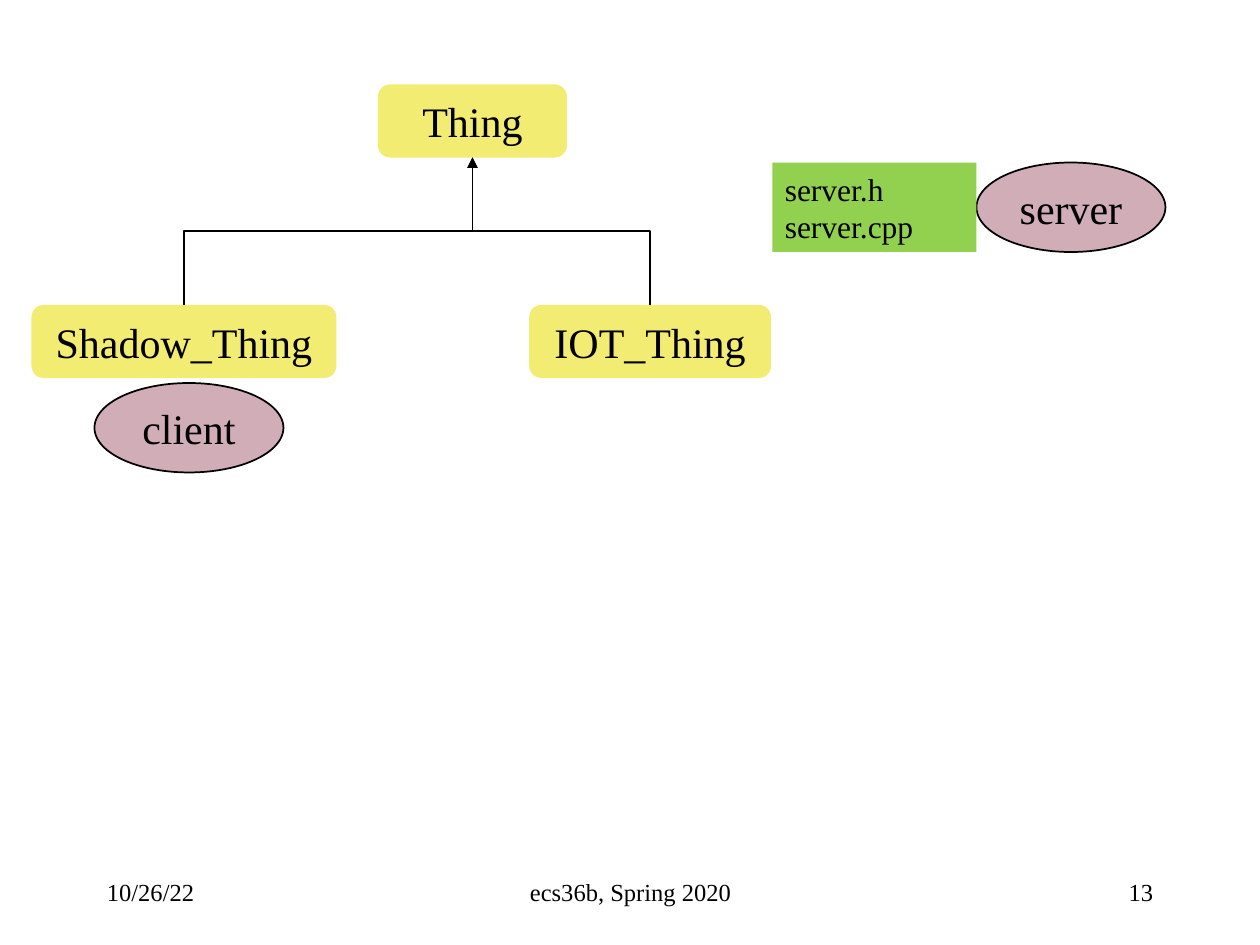
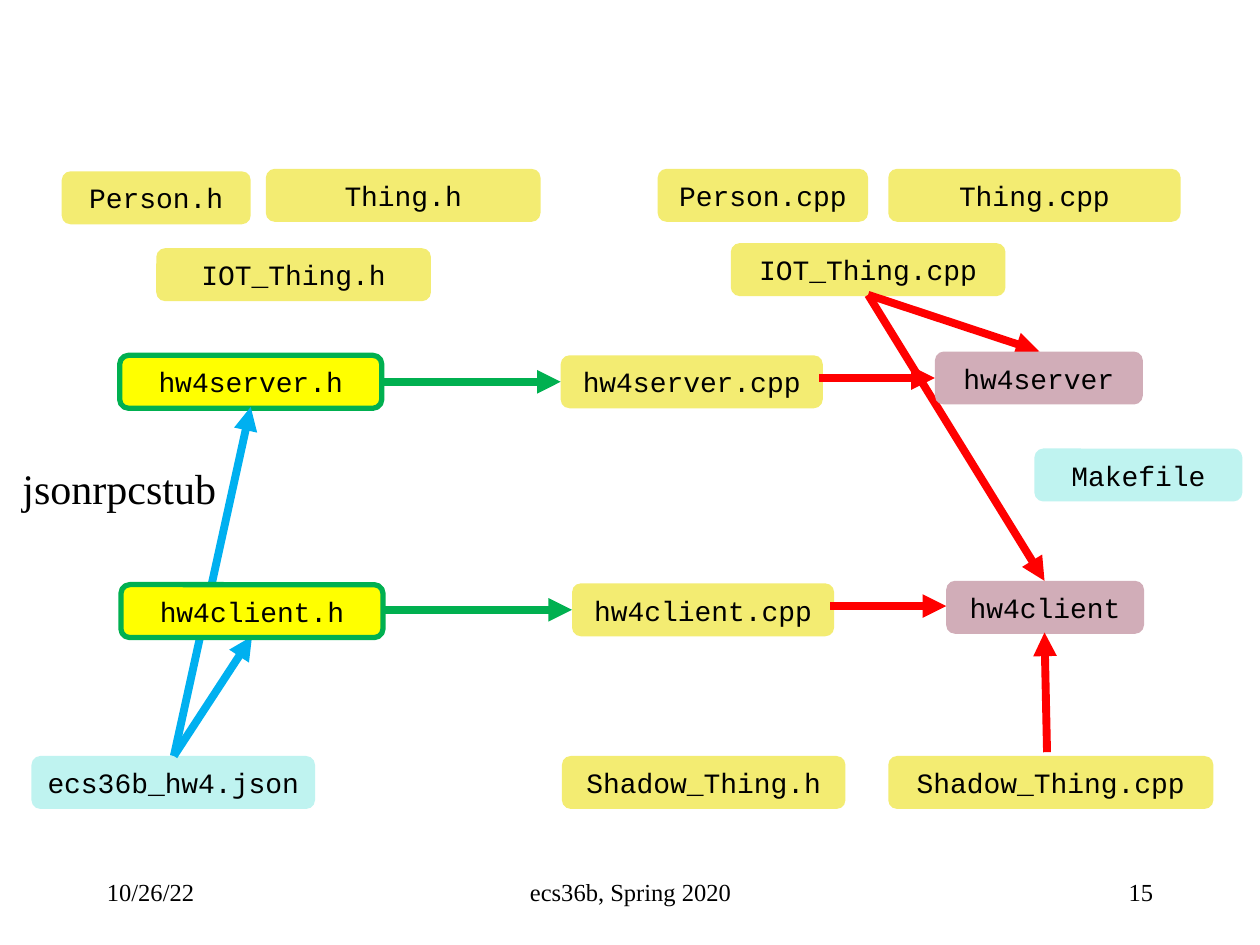
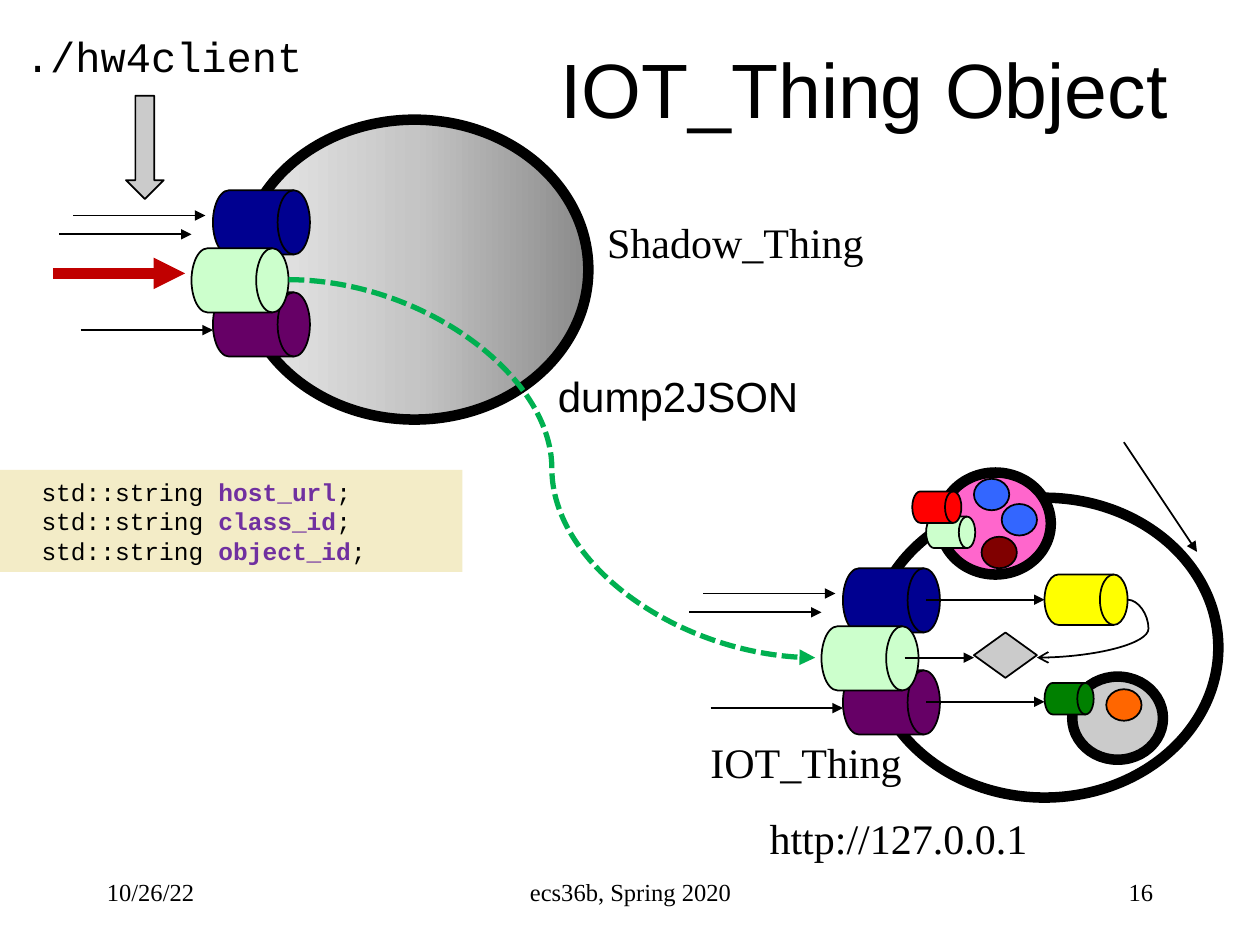
"""Build three class-hierarchy, build-flow and remote-object slides."""
import copy
from dataclasses import dataclass
from typing import Optional

import lxml.etree
import pptx
import pptx.dml.color
import pptx.enum.dml
import pptx.enum.shapes
import pptx.enum.text
import pptx.oxml.ns
import pptx.presentation
import pptx.shapes.autoshape
import pptx.shapes.connector
import pptx.slide
import pptx.util

Inches = pptx.util.Inches
Kind = pptx.enum.shapes.MSO_SHAPE
Route = pptx.enum.shapes.MSO_CONNECTOR
Align = pptx.enum.text.PP_ALIGN
Anchor = pptx.enum.text.MSO_ANCHOR
Dash = pptx.enum.dml.MSO_LINE
qn = pptx.oxml.ns.qn
Point = tuple[float, float]


@dataclass(frozen=True)
class Theme:
    """Colours, fonts and type sizes of the deck."""
    black: str = "000000"
    sand: str = "F3EC72"
    cream: str = "F3ECC7"
    aqua: str = "BFF3F0"
    rose: str = "D1ADB8"
    lime: str = "92D050"
    yellow: str = "FFFF00"
    green: str = "00B050"
    blue: str = "00B0F0"
    red: str = "FF0000"
    crimson: str = "C00000"
    purple: str = "7030A0"
    grey: str = "CBCBCB"
    navy: str = "000090"
    plum: str = "660066"
    mint: str = "CCFFCC"
    pink: str = "FF66CC"
    forest: str = "008000"
    orange: str = "FF6600"
    azure: str = "3366FF"
    maroon: str = "800000"
    shading: tuple[str, ...] = ("8B8B8B", "C5C5C5", "EAEAEA")
    serif: str = "Times New Roman"
    mono: str = "Courier New"
    sans: str = "Arial"
    title: float = 44
    label: float = 24
    note: float = 18
    file: float = 16
    small: float = 14
    thin: float = 1
    outline: float = 3
    arrow: float = 4.5
    heavy: float = 6


THEME = Theme()


@dataclass(frozen=True)
class Box:
    """A preset shape with optional fill, outline and label."""
    left: float
    top: float
    width: float
    height: float
    fill: Optional[str] = THEME.sand
    text: str = ""
    kind: Kind = Kind.ROUNDED_RECTANGLE
    line: Optional[str] = None
    line_width: float = THEME.thin
    size: float = THEME.label
    font: str = THEME.serif


@dataclass(frozen=True)
class Arrow:
    """A connector with an arrowhead at its end."""
    start: Point
    end: Point
    color: str = THEME.black
    width: float = THEME.thin
    route: Route = Route.STRAIGHT
    head: str = "triangle"
    bend: Optional[float] = None
    dash: Optional[Dash] = None


def rgb(color: str) -> pptx.dml.color.RGBColor:
    """Turn a hexadecimal string into a colour."""
    return pptx.dml.color.RGBColor.from_string(color)


def write_text(shape: pptx.shapes.autoshape.Shape, text: str, *, size: float = THEME.label,
               font: str = THEME.serif, align: Align = Align.LEFT, anchor: Anchor = Anchor.MIDDLE,
               wrap: bool = True, margin: float = 0.1) -> None:
    """Write lines into a shape; parts between bars are bold and purple."""
    frame = shape.text_frame
    frame.word_wrap = wrap
    frame.vertical_anchor = anchor
    frame.margin_left = Inches(margin)
    for index, line in enumerate(text.split("\n")):
        paragraph = frame.add_paragraph() if index else frame.paragraphs[0]
        paragraph.alignment = align
        for position, part in enumerate(line.split("|")):
            strong = position % 2 == 1
            run = paragraph.add_run()
            run.text = part
            run.font.size = pptx.util.Pt(size)
            run.font.name = font
            run.font.bold = strong
            run.font.color.rgb = rgb(THEME.purple if strong else THEME.black)


def add_label(slide: pptx.slide.Slide, text: str, left: float, top: float, width: float,
              height: float = 0.5, **text_format) -> None:
    """Add a text box."""
    box = slide.shapes.add_textbox(*map(Inches, (left, top, width, height)))
    write_text(box, text, **text_format)


def add_box(slide: pptx.slide.Slide, box: Box) -> pptx.shapes.autoshape.Shape:
    """Draw a box and its centred label."""
    shape = slide.shapes.add_shape(
        box.kind, *map(Inches, (box.left, box.top, box.width, box.height)))
    shape.shadow.inherit = False
    if box.fill:
        shape.fill.solid()
        shape.fill.fore_color.rgb = rgb(box.fill)
    else:
        shape.fill.background()
    if box.line:
        shape.line.color.rgb = rgb(box.line)
        shape.line.width = pptx.util.Pt(box.line_width)
    else:
        shape.line.fill.background()
    if box.text:
        write_text(shape, box.text, size=box.size, font=box.font, align=Align.CENTER)
    return shape


def add_arrow(slide: pptx.slide.Slide, arrow: Arrow) -> pptx.shapes.connector.Connector:
    """Draw a connector with its arrowhead, dash and bend."""
    connector = slide.shapes.add_connector(
        arrow.route, *map(Inches, (*arrow.start, *arrow.end)))
    connector.line.color.rgb = rgb(arrow.color)
    connector.line.width = pptx.util.Pt(arrow.width)
    if arrow.dash:
        connector.line.dash_style = arrow.dash
    properties = connector._element.spPr
    lxml.etree.SubElement(properties.find(qn("a:ln")), qn("a:tailEnd"), type=arrow.head)
    lxml.etree.SubElement(properties, qn("a:effectLst"))
    if arrow.bend is not None:
        geometry = properties.find(qn("a:prstGeom"))
        values = geometry.find(qn("a:avLst"))
        if values is None:
            values = lxml.etree.SubElement(geometry, qn("a:avLst"))
        lxml.etree.SubElement(values, qn("a:gd"), name="adj1",
                              fmla=f"val {round(arrow.bend * 100000)}")
    return connector


def add_inheritance(slide: pptx.slide.Slide, child: Point, parent: Point) -> None:
    """Join child to parent by an elbow that leaves vertically, turned by 90 degrees."""
    center_x, center_y = (child[0] + parent[0]) / 2, (child[1] + parent[1]) / 2
    across, down = child[0] - center_x, child[1] - center_y
    connector = add_arrow(slide, Arrow(
        (center_x + down, center_y - across), (center_x - down, center_y + across),
        route=Route.ELBOW))
    connector._element.spPr.find(qn("a:xfrm")).set("rot", str(90 * 60000))


def add_slide(presentation: pptx.presentation.Presentation, number: int) -> pptx.slide.Slide:
    """Add a blank slide with date, course and slide number."""
    slide = presentation.slides.add_slide(presentation.slide_layouts[6])
    for text, left, width, align in (
            ("10/26/22", 0.75, 2.08, Align.LEFT),
            ("ecs36b, Spring 2020", 3.42, 3.17, Align.CENTER),
            (str(number), 7.17, 2.08, Align.RIGHT)):
        add_label(slide, text, left, 6.83, width, size=THEME.small, align=align)
    return slide


def build_hierarchy(presentation: pptx.presentation.Presentation) -> None:
    """Build the class hierarchy slide."""
    slide = add_slide(presentation, 13)
    for text, left, top, width in (
            ("Thing", 3, 0.67, 1.5), ("Shadow_Thing", 0.25, 2.42, 2.42),
            ("IOT_Thing", 4.2, 2.42, 1.92)):
        add_box(slide, Box(left, top, width, 0.58, text=text))
    for child_x in (1.46, 5.16):
        add_inheritance(slide, (child_x, 2.42), (3.75, 1.25))
    for text, left, top in (("server", 7.75, 1.29), ("client", 0.75, 3.04)):
        add_box(slide, Box(left, top, 1.5, 0.71, THEME.rose, text, Kind.OVAL, THEME.black))
    sources = add_box(slide, Box(6.13, 1.29, 1.62, 0.71, THEME.lime, kind=Kind.RECTANGLE))
    write_text(sources, "server.h\nserver.cpp", size=THEME.note)


def file_box(text: str, left: float, top: float, width: float, fill: str = THEME.sand,
             line: Optional[str] = None) -> Box:
    """Describe a box that names a file."""
    return Box(left, top, width, 0.42, fill, text, line=line, line_width=THEME.outline,
               size=THEME.file, font=THEME.mono)


def build_flow(presentation: pptx.presentation.Presentation) -> None:
    """Build the slide on how files become programs."""
    slide = add_slide(presentation, 15)
    for box in (
            file_box("Person.h", 0.49, 1.36, 1.5),
            file_box("Person.cpp", 5.22, 1.34, 1.67),
            file_box("Thing.h", 2.11, 1.34, 2.18),
            file_box("Thing.cpp", 7.05, 1.34, 2.32),
            file_box("Shadow_Thing.h", 4.46, 6, 2.25),
            file_box("Shadow_Thing.cpp", 7.05, 6, 2.58),
            file_box("hw4server.cpp", 4.45, 2.82, 2.08),
            file_box("ecs36b_hw4.json", 0.25, 6, 2.25, THEME.aqua),
            file_box("hw4client.cpp", 4.54, 4.63, 2.08),
            file_box("IOT_Thing.h", 1.24, 1.97, 2.18),
            file_box("IOT_Thing.cpp", 5.8, 1.93, 2.18),
            file_box("hw4server.h", 0.95, 2.82, 2.08, THEME.yellow, THEME.green),
            file_box("hw4client", 7.51, 4.61, 1.57, THEME.rose)):
        add_box(slide, box)
    stub, thing = (1.38, 6), (6.89, 2.34)
    for color, links in (
            (THEME.blue, ((stub, (2, 5.05)), (stub, (1.99, 3.23)))),
            (THEME.green, (((3.03, 3.03), (4.45, 3.03)), ((3.04, 4.84), (4.54, 4.84)))),
            (THEME.red, (((6.5, 3), (7.42, 3)), ((6.59, 4.81), (7.51, 4.81)),
                         ((8.31, 5.97), (8.29, 5.02)),
                         (thing, (8.25, 2.79)), (thing, (8.29, 4.61))))):
        for start, end in links:
            add_arrow(slide, Arrow(start, end, color, THEME.arrow))
    for box in (
            file_box("hw4client.h", 0.96, 4.64, 2.08, THEME.yellow, THEME.green),
            file_box("hw4server", 7.42, 2.79, 1.65, THEME.rose),
            file_box("Makefile", 8.21, 3.56, 1.65, THEME.aqua)):
        add_box(slide, box)
    add_label(slide, "jsonrpcstub", 0.08, 3.62, 1.75, anchor=Anchor.TOP, wrap=False)


def outlined(kind: Kind, left: float, top: float, width: float, height: float,
             fill: Optional[str], line_width: float = THEME.thin) -> Box:
    """Describe a black-outlined part of an object."""
    return Box(left, top, width, height, fill, kind=kind, line=THEME.black,
               line_width=line_width)


def add_object(slide: pptx.slide.Slide, left: float, top: float) -> pptx.shapes.autoshape.Shape:
    """Draw an object with three method drums and its incoming calls; return the body."""
    body = add_box(slide, outlined(Kind.OVAL, left + 1.91, top + 0.95, 2.76, 2.38, None,
                                   THEME.heavy))
    for x, y, color in ((1.69, 1.51, THEME.navy), (1.69, 2.32, THEME.plum),
                        (1.52, 1.97, THEME.mint)):
        add_box(slide, outlined(Kind.FLOWCHART_DIRECT_ACCESS_STORAGE, left + x, top + y,
                                0.77, 0.51, color))
    for x, y in ((0.58, 1.71), (0.47, 1.86), (0.64, 2.62)):
        add_arrow(slide, Arrow((left + x, top + y), (left + x + 1.05, top + y)))
    return body


def shade(shape: pptx.shapes.autoshape.Shape) -> None:
    """Give a shape the three-stop grey gradient, dark at the right."""
    shape.fill.gradient()
    shape.fill.gradient_angle = 180
    stop_list = shape._element.spPr.find(qn("a:gradFill")).find(qn("a:gsLst"))
    stop_list.insert(1, copy.deepcopy(stop_list[0]))
    for index, (stop, color) in enumerate(zip(shape.fill.gradient_stops, THEME.shading)):
        stop.position = index / 2
        stop.color.rgb = rgb(color)


def build_objects(presentation: pptx.presentation.Presentation) -> None:
    """Build the slide on the shadow object and the remote object."""
    slide = add_slide(presentation, 16)
    add_label(slide, "IOT_Thing Object", 3.4, 0.07, 6.92, 1.25, size=THEME.title,
              font=THEME.sans, align=Align.CENTER)
    add_object(slide, 5, 3)
    for start_x, end_x, y in ((7.35, 8.29, 4.76), (7.18, 7.73, 5.22), (7.35, 8.29, 5.57)):
        add_arrow(slide, Arrow((start_x, y), (end_x, y)))
    drum = Kind.FLOWCHART_DIRECT_ACCESS_STORAGE
    for part in (
            outlined(Kind.OVAL, 7.46, 3.75, 0.88, 0.81, THEME.pink, THEME.heavy),
            outlined(Kind.OVAL, 8.51, 5.37, 0.72, 0.66, THEME.grey, THEME.heavy),
            outlined(drum, 7.35, 4.1, 0.39, 0.25, THEME.mint),
            outlined(drum, 7.24, 3.9, 0.39, 0.25, THEME.red),
            outlined(drum, 8.29, 5.42, 0.39, 0.25, THEME.forest),
            outlined(Kind.OVAL, 8.78, 5.47, 0.28, 0.25, THEME.orange),
            outlined(Kind.OVAL, 7.73, 3.8, 0.28, 0.25, THEME.azure),
            outlined(Kind.OVAL, 7.95, 4, 0.28, 0.25, THEME.azure),
            outlined(Kind.OVAL, 7.79, 4.26, 0.28, 0.25, THEME.maroon),
            outlined(Kind.DIAMOND, 7.73, 5.02, 0.5, 0.36, THEME.grey),
            outlined(drum, 8.29, 4.56, 0.66, 0.4, THEME.yellow)):
        add_box(slide, part)
    add_arrow(slide, Arrow((8.95, 4.76), (8.23, 5.22), route=Route.CURVE, head="arrow",
                           bend=-0.23))
    shade(add_object(slide, 0, 0))
    add_arrow(slide, Arrow((0.42, 2.17), (1.47, 2.17), THEME.crimson, THEME.heavy))
    add_box(slide, outlined(Kind.DOWN_ARROW, 1, 0.76, 0.3, 0.82, THEME.grey))
    add_arrow(slide, Arrow((2.29, 2.22), (6.47, 5.22), THEME.green, THEME.outline,
                           Route.CURVE, dash=Dash.SQUARE_DOT))
    for text, left, top, width, font in (
            ("http://127.0.0.1", 6.01, 6.4, 2.27, THEME.serif),
            ("./hw4client", 0.1, 0.19, 2.42, THEME.mono),
            ("IOT_Thing", 5.54, 5.8, 1.73, THEME.serif),
            ("Shadow_Thing", 4.72, 1.67, 2.26, THEME.serif),
            ("dump2JSON", 4.33, 2.89, 2.13, THEME.sans)):
        add_label(slide, text, left, top, width, font=font, anchor=Anchor.TOP, wrap=False)
    add_arrow(slide, Arrow((8.92, 3.51), (9.5, 4.38)))
    fields = add_box(slide, Box(0, 3.73, 3.67, 0.81, THEME.cream, kind=Kind.RECTANGLE))
    write_text(fields, "\n".join(f"std::string |{name}|;"
                                 for name in ("host_url", "class_id", "object_id")),
               size=THEME.small, font=THEME.mono, margin=0.33)


def main() -> None:
    """Build and save the deck."""
    presentation = pptx.Presentation()
    presentation.slide_width = Inches(10)
    presentation.slide_height = Inches(7.5)
    build_hierarchy(presentation)
    build_flow(presentation)
    build_objects(presentation)
    presentation.save("out.pptx")


if __name__ == "__main__":
    main()
